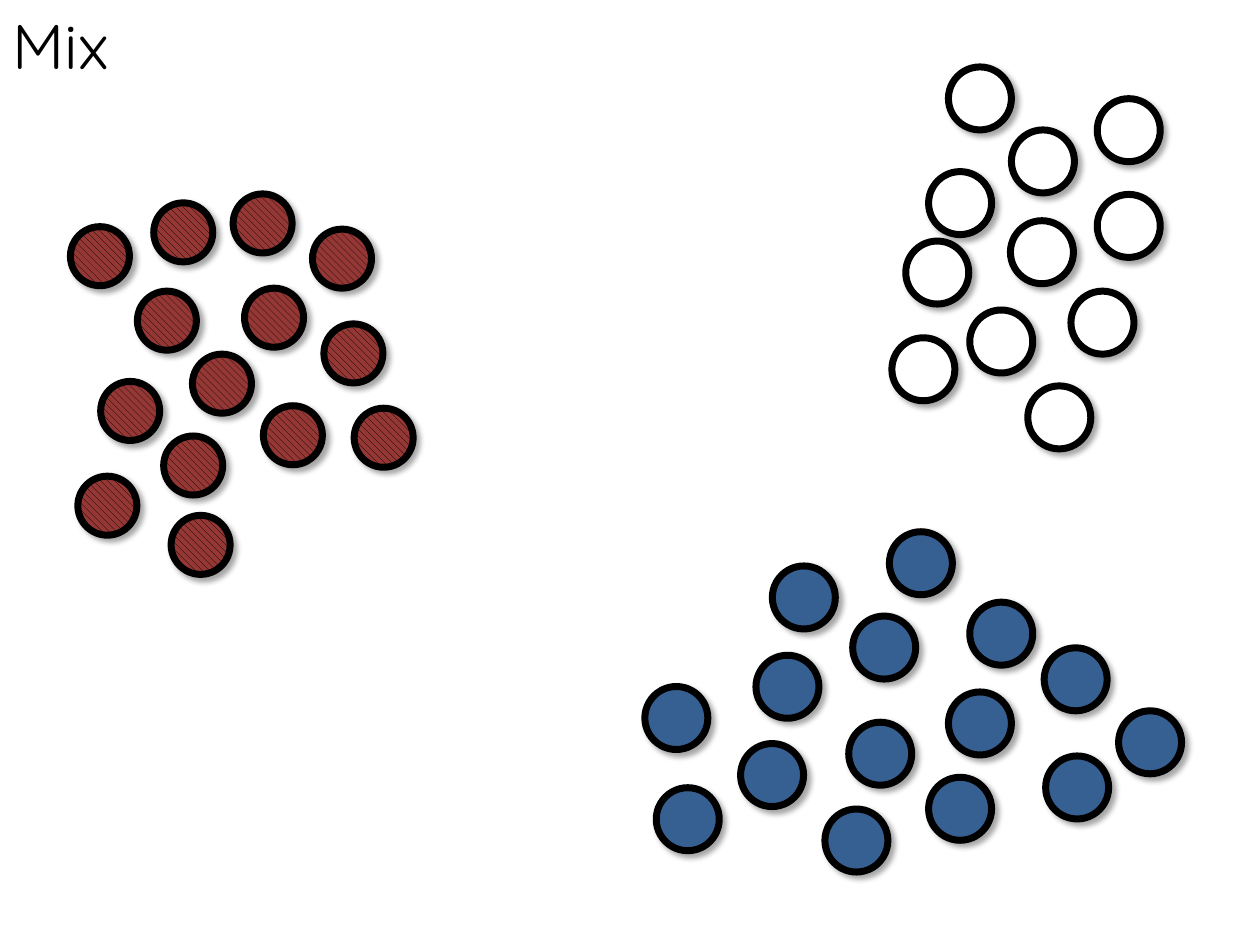
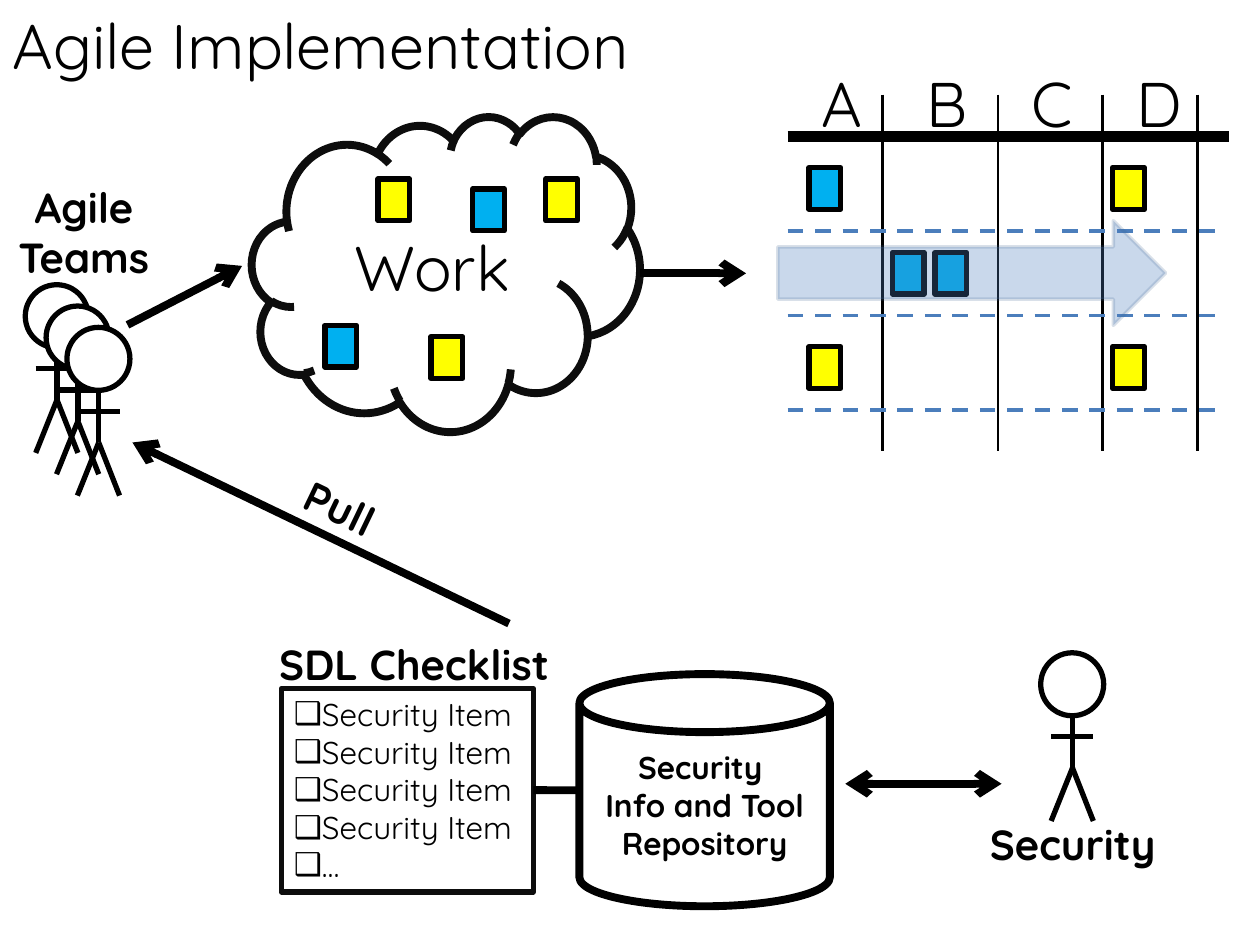
import pptx
import pptx.dml.color
import pptx.enum.dml
import pptx.enum.shapes
import pptx.enum.text
import pptx.oxml
import pptx.oxml.ns
import pptx.util

Cm = pptx.util.Cm
Pt = pptx.util.Pt
RGBColor = pptx.dml.color.RGBColor
SHAPE = pptx.enum.shapes.MSO_SHAPE
ALIGN = pptx.enum.text.PP_ALIGN
ANCHOR = pptx.enum.text.MSO_ANCHOR
DASH = pptx.enum.dml.MSO_LINE.DASH
qn = pptx.oxml.ns.qn

BLACK = RGBColor(0x00, 0x00, 0x00)
WHITE = RGBColor(0xFF, 0xFF, 0xFF)
INK = RGBColor(0x0D, 0x0D, 0x0D)
RED = RGBColor(0x95, 0x37, 0x35)
NAVY = RGBColor(0x37, 0x60, 0x92)
YELLOW = RGBColor(0xFF, 0xFF, 0x00)
CYAN = RGBColor(0x00, 0xB0, 0xF0)
LANE_BLUE = RGBColor(0x4B, 0x7E, 0xBC)
ARROW_FILL = RGBColor(0x4F, 0x81, 0xBD)
ARROW_LINE = RGBColor(0x3A, 0x5F, 0x8C)

FONT = "Quicksand"
SHADOW = ('<a:outerShdw %s blurRad="40000" dist="38100" dir="2700000" rotWithShape="0">'
          '<a:srgbClr val="000000"><a:alpha val="35000"/></a:srgbClr></a:outerShdw>'
          % pptx.oxml.ns.nsdecls("a"))

RED_SPOTS = [(0.61, 3.78), (2.03, 6.48), (5.11, 2.62), (3.89, 4.27), (1.68, 0.18),
             (5.72, 4.32), (3.28, 0), (2.46, 3.23), (0, 0.66), (3.51, 1.9),
             (0.15, 5.69), (1.88, 4.88), (4.88, 0.71), (1.35, 1.96)]
WHITE_SPOTS = [(2.74, 6.43), (0.74, 2.11), (3.61, 4.52), (1.57, 4.9), (2.39, 3.1),
               (1.14, 0), (0.28, 3.51), (2.41, 1.27), (4.14, 2.57), (4.14, 0.64),
               (0, 5.46)]
NAVY_SPOTS = [(4.19, 1.7), (8.08, 4.52), (9.55, 3.61), (1.93, 4.27), (2.57, 0.69),
              (0.23, 5.16), (0, 3.12), (6.55, 1.42), (2.24, 2.49), (4.93, 0),
              (5.72, 4.95), (4.11, 3.84), (6.12, 3.23), (8.05, 2.34), (3.63, 5.59)]
CLOUD_CARDS = [(3.61, 4.45, YELLOW), (5.92, 1.27, YELLOW), (2.54, 1.27, YELLOW),
               (1.47, 4.22, CYAN), (4.45, 1.47, CYAN)]
BOARD_CARDS = [(0.43, 5.08, YELLOW), (2.97, 3.18, CYAN), (2.11, 3.18, CYAN),
               (0.43, 1.47, CYAN), (6.55, 5.08, YELLOW), (6.55, 1.47, YELLOW)]


def write(p, text, size, bold=False, align=ALIGN.LEFT):
    """Fill a paragraph with black runs, one for each line of text."""
    p.alignment = align
    for i, line in enumerate(text.split("\n")):
        if i:
            p.add_line_break()
        r = p.add_run()
        r.text = line
        r.font.name = FONT
        r.font.size = Pt(size)
        r.font.bold = bold
        r.font.color.rgb = BLACK


def add_label(shapes, box, text, size=24, bold=True, align=ALIGN.CENTER):
    """Add a wrapped text box."""
    sp = shapes.add_textbox(*map(Cm, box))
    sp.text_frame.word_wrap = True
    write(sp.text_frame.paragraphs[0], text, size, bold, align)
    return sp


def add_outlined(shapes, kind, box, fill, line=BLACK, width=3):
    """Add a filled, outlined preset shape without shadow."""
    sp = shapes.add_shape(kind, *map(Cm, box))
    sp.shadow.inherit = False
    sp.fill.solid()
    sp.fill.fore_color.rgb = fill
    sp.line.color.rgb = line
    sp.line.width = Pt(width)
    return sp


def add_line(shapes, start, end, width, color=BLACK, dash=None, heads=()):
    """Add a straight connector, with open arrowheads at the named ends."""
    cxn = shapes.add_connector(pptx.enum.shapes.MSO_CONNECTOR.STRAIGHT,
                               *map(Cm, start + end))
    cxn.line.color.rgb = color
    cxn.line.width = Pt(width)
    if dash:
        cxn.line.dash_style = dash
    sp_pr = cxn._element.spPr
    for head in heads:
        pptx.oxml.ns  
        end_mark = sp_pr.find(qn("a:ln")).makeelement(qn("a:" + head), {"type": "arrow"})
        sp_pr.find(qn("a:ln")).append(end_mark)
    sp_pr.append(sp_pr.makeelement(qn("a:effectLst"), {}))
    return cxn


def set_alpha(color_parent, percent):
    """Make the colour inside an XML element partly transparent."""
    clr = color_parent.find(".//" + qn("a:srgbClr"))
    clr.append(clr.makeelement(qn("a:alpha"), {"val": str(percent * 1000)}))


def add_slide(prs, layout, title):
    """Add a slide with the shared title style."""
    slide = prs.slides.add_slide(prs.slide_layouts[layout])
    sp = slide.shapes.title
    sp.left, sp.top, sp.width, sp.height = map(Cm, (0, 0, 17.6, 1.8))
    tf = sp.text_frame
    tf.auto_size = pptx.enum.text.MSO_AUTO_SIZE.NONE
    tf.vertical_anchor = ANCHOR.TOP
    write(tf.paragraphs[0], title, 36)
    return slide


def add_cluster(shapes, left, top, size, spots, fill, hatched=False):
    """Scatter shadowed circles from a top left corner."""
    for x, y in spots:
        sp = add_outlined(shapes, SHAPE.OVAL, (left + x, top + y, size, size), fill, width=4)
        sp._element.spPr.find(qn("a:effectLst")).append(pptx.oxml.parse_xml(SHADOW))
        if hatched:
            sp.fill.patterned()
            sp.fill.pattern = pptx.enum.dml.MSO_PATTERN.WIDE_DOWNWARD_DIAGONAL
            sp.fill.fore_color.rgb = BLACK
            sp.fill.back_color.rgb = fill


def add_cards(shapes, left, top, cards):
    """Place coloured work cards from a top left corner."""
    for x, y, fill in cards:
        add_outlined(shapes, SHAPE.RECTANGLE, (left + x, top + y, 0.64, 0.84), fill)


def add_person(shapes, left, top):
    """Draw a grouped stick figure."""
    parts = shapes.add_group_shape().shapes
    add_outlined(parts, SHAPE.OVAL, (left, top, 1.27, 1.27), WHITE)
    limbs = [(0.64, 1.27, 0.64, 2.32), (0.64, 2.32, 0.21, 3.39),
             (0.64, 2.32, 1.06, 3.39), (0.21, 1.69, 1.06, 1.69)]
    for x1, y1, x2, y2 in limbs:
        add_line(parts, (left + x1, top + y1), (left + x2, top + y2), 3)


def add_work_cloud(shapes, left, top, width, height):
    """Draw the cloud of work with its cards."""
    sp = add_outlined(shapes, SHAPE.CLOUD, (left, top, width, height), WHITE, INK, 4.5)
    sp.text_frame.vertical_anchor = ANCHOR.MIDDLE
    write(sp.text_frame.paragraphs[0], "Work", 36, align=ALIGN.CENTER)
    add_cards(shapes, left, top, CLOUD_CARDS)


def add_board(shapes, left, top, width, height):
    """Draw the task board with columns, lanes, cards and flow arrow."""
    add_line(shapes, (left, top + 0.84), (left + width, top + 0.84), 6)
    for x in (1.91, 4.24, 6.35, 8.26):
        add_line(shapes, (left + x, top), (left + x, top + height), 1.5)
    for y in (2.74, 4.45, 6.35):
        add_line(shapes, (left, top + y), (left + width - 0.2, top + y), 2.25,
                 LANE_BLUE, DASH.DASH)
    add_cards(shapes, left, top, BOARD_CARDS)
    for i, name in enumerate("ABCD"):
        add_label(shapes, (left + 0.43 + 2.12 * i, top - 0.74, 1.07, 1.8), name, 36, False)
    sp = add_outlined(shapes, SHAPE.RIGHT_ARROW, (left - 0.2, top + 2.54, 7.82, 2.11),
                      ARROW_FILL, ARROW_LINE, 2)
    set_alpha(sp._element.spPr.find(qn("a:solidFill")), 30)
    set_alpha(sp._element.spPr.find(qn("a:ln")), 19)


def add_checklist(slide, left, top, width, height):
    """Format the body placeholder as the security checklist."""
    sp = slide.placeholders[1]
    sp.left, sp.top, sp.width, sp.height = map(Cm, (left, top, width, height))
    sp.line.color.rgb = INK
    sp.line.width = Pt(3)
    tf = sp.text_frame
    tf.auto_size = pptx.enum.text.MSO_AUTO_SIZE.NONE
    for i, item in enumerate(["Security Item"] * 4 + ["…"]):
        p = tf.add_paragraph() if i else tf.paragraphs[0]
        p_pr = p._p.get_or_add_pPr()
        p_pr.set("marL", "0")
        p_pr.set("indent", "0")
        p_pr.append(p_pr.makeelement(qn("a:buFont"), {"typeface": "Arial"}))
        p_pr.append(p_pr.makeelement(qn("a:buChar"), {"char": "❑"}))
        p.space_before = Pt(0)
        write(p, item, 18)
    add_label(slide.shapes, (left - 0.29, top - 1.13, 6.45, 1.27), "SDL Checklist",
              align=ALIGN.LEFT)
    return sp


def add_repository(shapes, left, top, width, height):
    """Draw the repository cylinder."""
    sp = add_outlined(shapes, SHAPE.CAN, (left, top, width, height), WHITE, BLACK, 4.5)
    sp.text_frame.vertical_anchor = ANCHOR.MIDDLE
    write(sp.text_frame.paragraphs[0], "Security \nInfo and Tool Repository", 18, True,
          ALIGN.CENTER)


def add_team(shapes, left, top):
    """Draw the three overlapping team members with their label."""
    add_label(shapes, (left, top, 3.38, 2.31), "Agile Teams")
    for i in range(3):
        add_person(shapes, left + 0.51 + 0.42 * i, top + 2.21 + 0.43 * i)


def build_mix(prs):
    """Build the slide of three circle clusters."""
    shapes = add_slide(prs, 5, "Mix").shapes
    add_cluster(shapes, 1.42, 3.91, 1.19, RED_SPOTS, RED, hatched=True)
    add_cluster(shapes, 17.98, 1.35, 1.27, WHITE_SPOTS, WHITE)
    add_cluster(shapes, 13, 10.72, 1.27, NAVY_SPOTS, NAVY)


def build_agile(prs):
    """Build the slide of the agile work flow."""
    slide = add_slide(prs, 1, "Agile Implementation")
    shapes = slide.shapes
    checklist = add_checklist(slide, 5.67, 13.88, 5.08, 4.1)
    add_work_cloud(shapes, 5.08, 2.34, 7.82, 6.35)
    add_board(shapes, 15.88, 1.91, 8.89, 7.19)
    add_team(shapes, 0, 3.53)
    add_repository(shapes, 11.68, 13.59, 5.05, 4.68)
    add_person(shapes, 20.98, 13.16)
    add_label(shapes, (19.63, 16.38, 3.99, 1.27), "Security")
    add_label(shapes, (5.18, 9.6, 3.38, 1.27), "Pull").rotation = 25.6
    for start, end in [((12.9, 5.51), (15.04, 5.51)), ((2.57, 6.55), (4.88, 5.36)),
                       ((10.26, 12.57), (2.67, 8.92))]:
        add_line(shapes, start, end, 4.5, heads=["tailEnd"])
    add_line(shapes, (20.19, 15.8), (17.04, 15.8), 4.5, heads=["headEnd", "tailEnd"])
    link = add_line(shapes, (10.75, 15.93), (11.68, 15.93), 4.5)
    link.begin_connect(checklist, 3)


def main():
    """Build and save the presentation."""
    prs = pptx.Presentation()
    prs.slide_width, prs.slide_height = Cm(25.4), Cm(19.05)
    build_mix(prs)
    build_agile(prs)
    prs.save("out.pptx")


if __name__ == "__main__":
    main()
